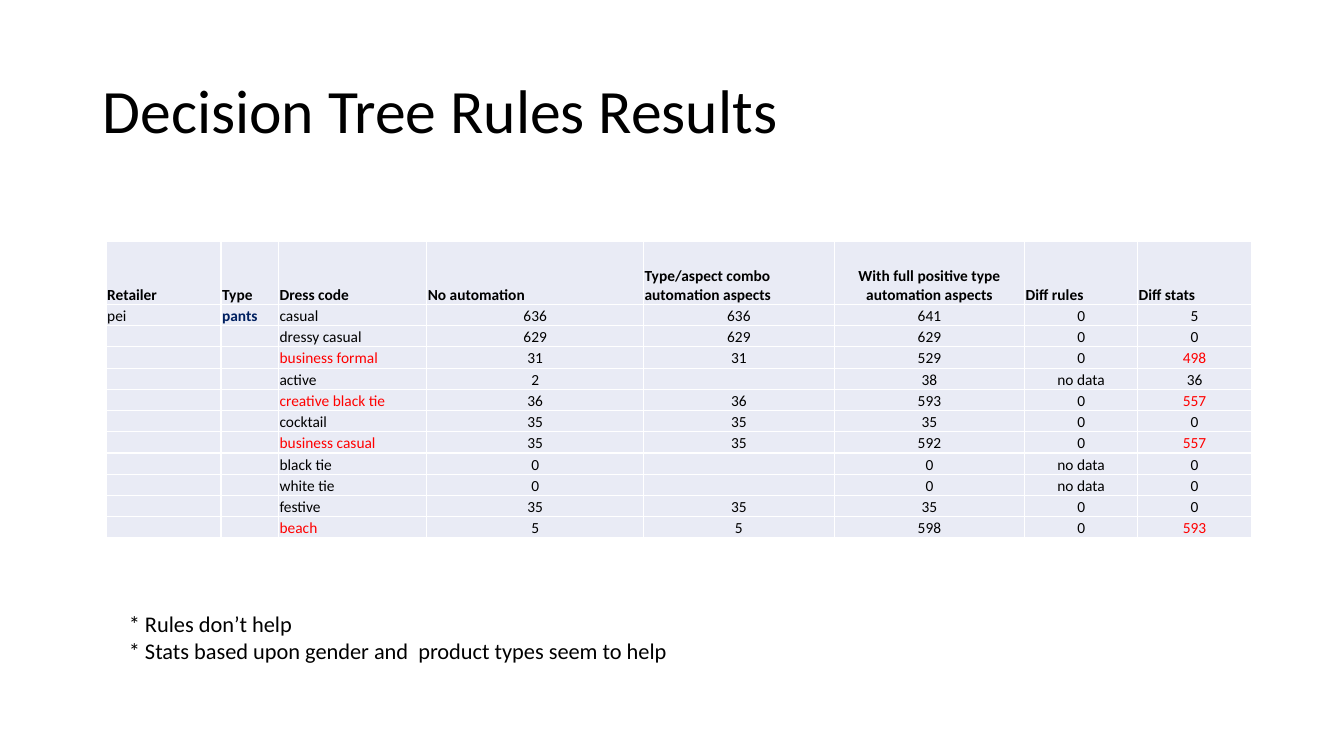
from lxml import etree
from pptx import Presentation, util as u
from pptx.dml.color import RGBColor
from pptx.enum import text
from pptx.oxml import ns

BLACK = RGBColor(0x00, 0x00, 0x00)
RED = RGBColor(0xFF, 0x00, 0x00)
NAVY = RGBColor(0x00, 0x20, 0x60)
WHITE = RGBColor(0xFF, 0xFF, 0xFF)
PALE_BLUE = RGBColor(0xE9, 0xEB, 0xF5)

FONT = "Calibri"
TABLE_SIZE = 11
SLIDE_WIDTH, SLIDE_HEIGHT = u.Inches(13.33), u.Inches(7.5)
COLUMN, ROW = SLIDE_WIDTH / 100, SLIDE_HEIGHT / 100

COLUMN_SHARES = [8.55, 4.28, 11.03, 16.13, 14.18, 14.18, 8.4, 8.48]
HEADER_SHARE, BODY_SHARE = 8.4, 2.81
FIRST_VALUE_COLUMN = 3
CENTRED_HEADER = 5
LARGE_GAIN = 100

HEADERS = ["Retailer", "Type", "Dress code", "No automation",
           "Type/aspect combo automation aspects",
           "With full positive type automation aspects",
           "Diff rules", "Diff stats"]
RESULTS = [
    ["pei", "pants", "casual", 636, 636, 641, 0, 5],
    ["", "", "dressy casual", 629, 629, 629, 0, 0],
    ["", "", "business formal", 31, 31, 529, 0, 498],
    ["", "", "active", 2, "", 38, "no data", 36],
    ["", "", "creative black tie", 36, 36, 593, 0, 557],
    ["", "", "cocktail", 35, 35, 35, 0, 0],
    ["", "", "business casual", 35, 35, 592, 0, 557],
    ["", "", "black tie", 0, "", 0, "no data", 0],
    ["", "", "white tie", 0, "", 0, "no data", 0],
    ["", "", "festive", 35, 35, 35, 0, 0],
    ["", "", "beach", 5, 5, 598, 0, 593],
]


def place(left, top, width, height):
    return (round(left * COLUMN), round(top * ROW),
            round(width * COLUMN), round(height * ROW))


def style_runs(para, size, colour, bold=False):
    for span in para.runs:
        span.font.name = FONT
        span.font.size = u.Pt(size)
        span.font.color.rgb = colour
        span.font.bold = bold


def add_text(page, area, wording, size, anchor, wrap, line_spacing=1.0):
    box = page.shapes.add_textbox(*place(*area))
    frame = box.text_frame
    frame.text = wording
    frame.word_wrap = wrap
    frame.vertical_anchor = anchor
    for para in frame.paragraphs:
        para.line_spacing = line_spacing
        style_runs(para, size, BLACK)


def add_borders(cell):
    properties = cell._tc.get_or_add_tcPr()
    for side in ("lnL", "lnR", "lnT", "lnB"):
        line = etree.SubElement(properties, ns.qn(f"a:{side}"), w=str(u.Pt(1)))
        fill = etree.SubElement(line, ns.qn("a:solidFill"))
        etree.SubElement(fill, ns.qn("a:srgbClr"), val=str(WHITE))


def fill_cell(cell, value, colour, bold, centred):
    add_borders(cell)
    cell.fill.solid()
    cell.fill.fore_color.rgb = PALE_BLUE
    cell.margin_left = cell.margin_right = cell.margin_top = u.Inches(0.01)
    cell.margin_bottom = 0
    cell.vertical_anchor = text.MSO_ANCHOR.BOTTOM
    cell.text_frame.text = str(value)
    para = cell.text_frame.paragraphs[0]
    para.alignment = text.PP_ALIGN.CENTER if centred else text.PP_ALIGN.LEFT
    style_runs(para, TABLE_SIZE, colour, bold)
    if not para.runs:
        etree.SubElement(para._p, ns.qn("a:endParaRPr"), sz=str(TABLE_SIZE * 100))


def body_colour(column, gain):
    if HEADERS[column] == "Type":
        return NAVY
    if HEADERS[column] in ("Dress code", "Diff stats") and gain > LARGE_GAIN:
        return RED
    return BLACK


def add_results(page, left, top):
    height = HEADER_SHARE + BODY_SHARE * len(RESULTS)
    area = place(left, top, sum(COLUMN_SHARES), height)
    table = page.shapes.add_table(len(RESULTS) + 1, len(HEADERS), *area).table
    table.first_row = table.horz_banding = False
    for column, share in zip(table.columns, COLUMN_SHARES):
        column.width = round(share * COLUMN)
    for index, row in enumerate(table.rows):
        row.height = round((BODY_SHARE if index else HEADER_SHARE) * ROW)
    for column, header in enumerate(HEADERS):
        fill_cell(table.cell(0, column), header, BLACK, True,
                  column == CENTRED_HEADER)
    for index, result in enumerate(RESULTS, 1):
        for column, value in enumerate(result):
            fill_cell(table.cell(index, column), value,
                      body_colour(column, result[-1]),
                      HEADERS[column] == "Type",
                      column >= FIRST_VALUE_COLUMN)


def main():
    deck = Presentation()
    deck.slide_width, deck.slide_height = SLIDE_WIDTH, SLIDE_HEIGHT
    page = deck.slides.add_slide(deck.slide_layouts[6])
    add_text(page, (6.9, 5.33, 86.25, 19.33), "Decision Tree Rules Results",
             44, text.MSO_ANCHOR.MIDDLE, True, 0.9)
    add_results(page, 7.9, 31.87)
    add_text(page, (8.85, 80, 41.7, 8.53),
             "* Rules don’t help\n"
             "* Stats based upon gender and  product types seem to help",
             16, text.MSO_ANCHOR.TOP, False)
    deck.save("out.pptx")


if __name__ == "__main__":
    main()
